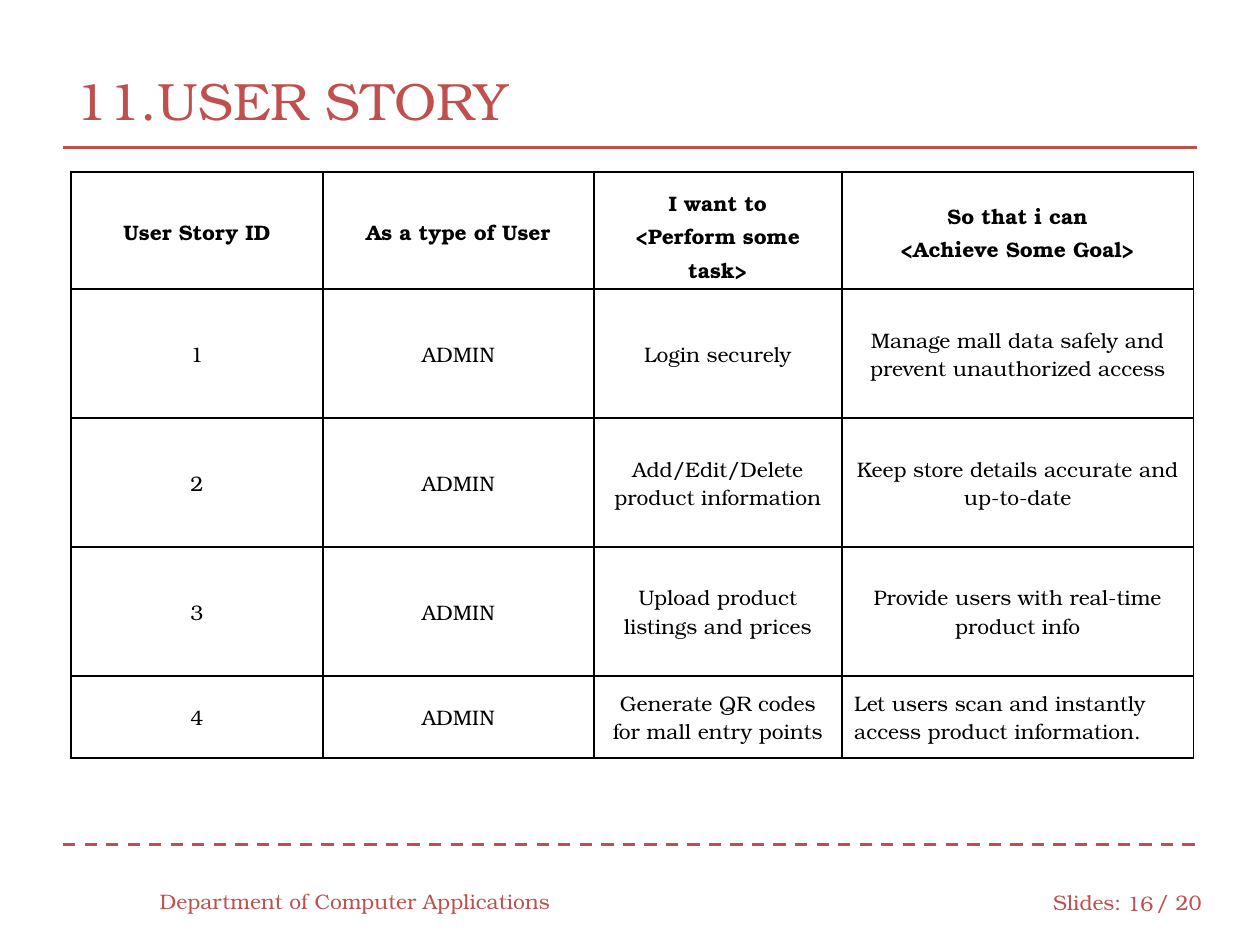
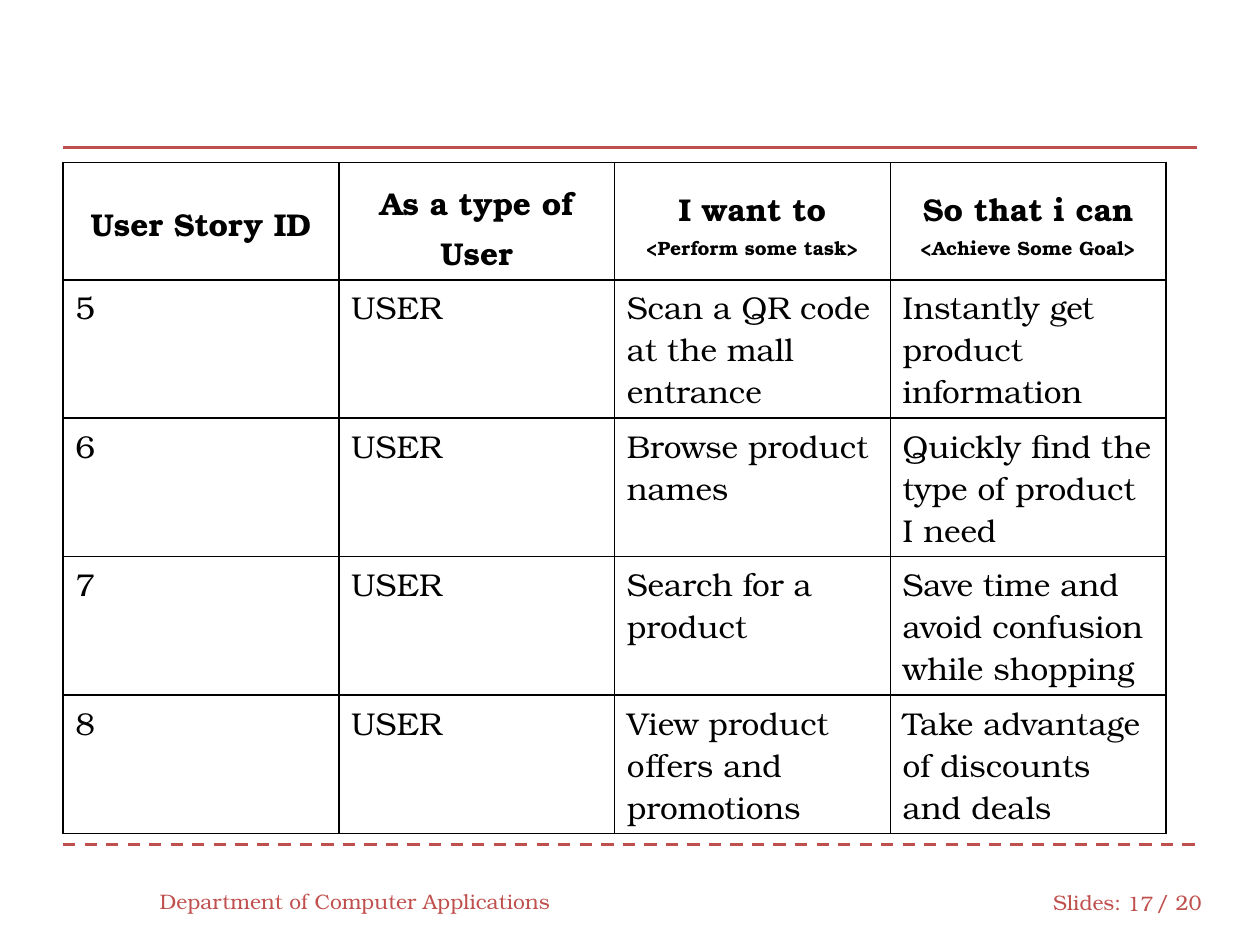
from dataclasses import dataclass

from lxml import etree
from pptx import Presentation
from pptx import util as u
from pptx.dml.color import RGBColor
from pptx.enum import dml, shapes, text
from pptx.oxml.ns import qn

TITLE_ONLY_LAYOUT, BLANK_LAYOUT = 5, 6
LEFT, CENTER, RIGHT = text.PP_ALIGN.LEFT, text.PP_ALIGN.CENTER, text.PP_ALIGN.RIGHT
TOP, MIDDLE = text.MSO_ANCHOR.TOP, text.MSO_ANCHOR.MIDDLE


@dataclass(frozen=True)
class Theme:
    font: str = "TeX Gyre Bonum"
    accent: RGBColor = RGBColor(0xC0, 0x50, 0x4D)
    ink: RGBColor = RGBColor(0, 0, 0)
    paper: RGBColor = RGBColor(0xFF, 0xFF, 0xFF)
    title_size: int = 30
    large_size: int = 18
    small_size: int = 12
    hint_size: int = 11
    rule_width: float = 1.75
    border_width: float = 1
    header_spacing: float = 1.09


THEME = Theme()

HEADINGS = [
    ["User Story ID"],
    ["As a type of User"],
    ["I want to", "<Perform some task>"],
    ["So that i can", "<Achieve Some Goal>"],
]

ADMIN_STORIES = [
    ("1", "ADMIN", "Login securely",
     "Manage mall data safely and prevent unauthorized access"),
    ("2", "ADMIN", "Add/Edit/Delete product information",
     "Keep store details accurate and up-to-date"),
    ("3", "ADMIN", "Upload product listings and prices",
     "Provide users with real-time product info"),
    ("4", "ADMIN", "Generate QR codes for mall entry points",
     "Let users scan and instantly access product information."),
]

USER_STORIES = [
    ("5", "USER", "Scan a QR code at the mall entrance", "Instantly get product information"),
    ("6", "USER", "Browse product names", "Quickly find the type of product I need"),
    ("7", "USER", "Search for a product", "Save time and avoid confusion while shopping"),
    ("8", "USER", "View product offers and promotions", "Take advantage of discounts and deals"),
]


def add_run(paragraph, words, size, color, bold=False):
    run = paragraph.add_run()
    run.text = words
    run.font.name = THEME.font
    run.font.size = u.Pt(size)
    run.font.color.rgb = color
    run.font.bold = bold


def add_footer_text(slide, words, left, top, width, align=LEFT):
    box = slide.shapes.add_textbox(u.Cm(left), u.Cm(top), u.Cm(width), u.Cm(1.02))
    frame = box.text_frame
    frame.word_wrap = True
    frame.vertical_anchor = MIDDLE
    paragraph = frame.paragraphs[0]
    paragraph.alignment = align
    add_run(paragraph, words, THEME.small_size, THEME.accent)


def add_rule(slide, top, dash=None):
    rule = slide.shapes.add_connector(
        shapes.MSO_CONNECTOR.STRAIGHT, u.Cm(1.27), u.Cm(top), u.Cm(24.13), u.Cm(top))
    rule.line.color.rgb = THEME.accent
    rule.line.width = u.Pt(THEME.rule_width)
    if dash:
        rule.line.dash_style = dash
    etree.SubElement(rule._element.spPr, qn("a:effectLst"))


def add_frame(slide, number):
    """Add the rules and footer that every slide carries."""
    add_rule(slide, 2.97)
    add_rule(slide, 17.02, dml.MSO_LINE.DASH)
    add_footer_text(slide, "Department of Computer Applications", 2.97, 17.65, 8.46)
    add_footer_text(slide, "Slides:", 20.98, 17.68, 1.9)
    add_footer_text(slide, str(number), 22.43, 17.7, 1.07, RIGHT)
    add_footer_text(slide, "/ 20", 23.06, 17.68, 1.47)


def set_title(slide, words):
    title = slide.shapes.title
    title.left, title.top = u.Cm(1.27), u.Cm(0.84)
    title.width, title.height = u.Cm(22.86), u.Cm(2.34)
    frame = title.text_frame
    frame.auto_size = text.MSO_AUTO_SIZE.NONE
    frame.vertical_anchor = MIDDLE
    paragraph = frame.paragraphs[0]
    paragraph.alignment = LEFT
    add_run(paragraph, words, THEME.title_size, THEME.accent)


def style_cell(cell, anchor, padding):
    """Set borders, fill, anchor and vertical padding (cm)."""
    properties = cell._tc.get_or_add_tcPr()
    for side in ("lnL", "lnR", "lnT", "lnB"):
        border = etree.SubElement(
            properties, qn(f"a:{side}"), w=str(u.Pt(THEME.border_width)))
        fill = etree.SubElement(border, qn("a:solidFill"))
        etree.SubElement(fill, qn("a:srgbClr"), val=str(THEME.ink))
    cell.fill.solid()
    cell.fill.fore_color.rgb = THEME.paper
    cell.vertical_anchor = anchor
    cell.margin_left = cell.margin_right = u.Cm(0.25)
    cell.margin_top = cell.margin_bottom = u.Cm(padding)


def fill_heading(cell, lines, sizes):
    style_cell(cell, MIDDLE, 0.25)
    frame = cell.text_frame
    for index, (line, size) in enumerate(zip(lines, sizes)):
        paragraph = frame.add_paragraph() if index else frame.paragraphs[0]
        paragraph.alignment = CENTER
        paragraph.line_spacing = THEME.header_spacing
        add_run(paragraph, line, size, THEME.ink, bold=True)


def add_story_table(slide, stories, left, top, widths, heights, heading_sizes,
                    body_size, align, anchor, padding):
    shape = slide.shapes.add_table(
        len(stories) + 1, len(HEADINGS), u.Cm(left), u.Cm(top),
        u.Cm(sum(widths)), u.Cm(sum(heights)))
    table = shape.table
    table.first_row = table.horz_banding = False
    for column, width in zip(table.columns, widths):
        column.width = u.Cm(width)
    for row, height in zip(table.rows, heights):
        row.height = u.Cm(height)
    for column, lines in enumerate(HEADINGS):
        fill_heading(table.cell(0, column), lines, heading_sizes)
    for row, story in enumerate(stories, start=1):
        for column, words in enumerate(story):
            cell = table.cell(row, column)
            style_cell(cell, anchor, padding)
            paragraph = cell.text_frame.paragraphs[0]
            paragraph.alignment = align
            add_run(paragraph, words, body_size, THEME.ink)
    return table


def add_admin_slide(presentation):
    slide = presentation.slides.add_slide(presentation.slide_layouts[TITLE_ONLY_LAYOUT])
    add_frame(slide, 16)
    set_title(slide, "11.USER STORY")
    table = add_story_table(
        slide, ADMIN_STORIES, 1.43, 3.47,
        widths=[5.08, 5.46, 5, 7.09], heights=[2.36, 2.6, 2.6, 2.6, 1.65],
        heading_sizes=[THEME.small_size] * 2, body_size=THEME.small_size,
        align=CENTER, anchor=MIDDLE, padding=0.25)
    last_goal = table.cell(len(ADMIN_STORIES), len(HEADINGS) - 1)
    last_goal.text_frame.paragraphs[0].alignment = LEFT


def add_user_slide(presentation):
    slide = presentation.slides.add_slide(presentation.slide_layouts[BLANK_LAYOUT])
    add_frame(slide, 17)
    add_story_table(
        slide, USER_STORIES, 1.27, 3.28,
        widths=[5.56] * 4, heights=[2.36] + [2.79] * 4,
        heading_sizes=[THEME.large_size, THEME.hint_size], body_size=THEME.large_size,
        align=LEFT, anchor=TOP, padding=0.13)


def main():
    presentation = Presentation()
    presentation.slide_width, presentation.slide_height = u.Cm(25.4), u.Cm(19.05)
    add_admin_slide(presentation)
    add_user_slide(presentation)
    presentation.save("out.pptx")


if __name__ == "__main__":
    main()
